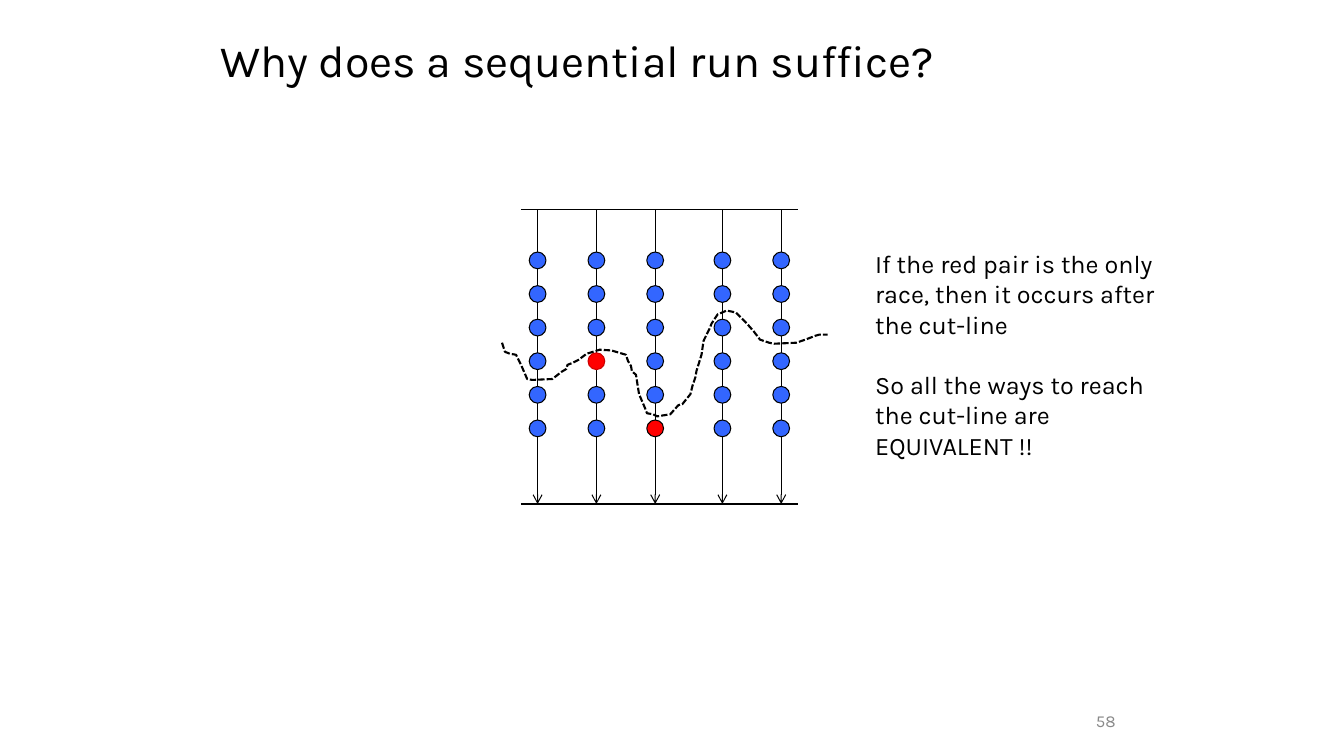
from dataclasses import dataclass

from lxml.etree import SubElement
from pptx import Presentation
from pptx.dml.color import RGBColor
from pptx.enum.dml import MSO_LINE
from pptx.enum.shapes import MSO_CONNECTOR, MSO_SHAPE
from pptx.enum.text import MSO_ANCHOR, MSO_AUTO_SIZE, PP_ALIGN
from pptx.oxml.ns import qn
from pptx.util import Pt

TITLE = "Why does a sequential run suffice?"
PAGE_NUMBER = "58"
REMARKS = [
    ["If the red pair is the only", "race, then it occurs after", "the cut-line"],
    ["So all the ways to reach", "the cut-line are", "EQUIVALENT !!"],
]
THREAD_XS = [384, 426, 468, 516, 558]
EVENTS_PER_THREAD = 6
RACE_OUTLINES = {(1, 3): "CC0000", (2, 5): "000000"}  # (thread, event)
CUT_LINE = [
    (358.6, 244.8), (360.7, 251.3), (364.3, 252.7), (368.6, 253.4), (372.2, 260.6),
    (376.6, 270.7), (380.2, 271.4), (394.6, 270.7), (401, 265.7), (404.6, 263.5),
    (405.4, 260.6), (409, 259.2), (413.3, 257), (419, 252.7), (428.4, 249.8),
    (436.7, 250.3), (447.1, 253.4), (448.6, 257.8), (450.7, 261.4), (451.4, 265),
    (454.3, 267.8), (456.5, 281.5), (460.8, 291.6), (462.2, 295.2), (466.6, 295.9),
    (469.4, 297.4), (478.8, 295.9), (484.6, 289.4), (487.4, 288.7), (493.2, 281.5),
    (494.6, 275.8), (496.8, 269.3), (497.5, 265), (501.1, 253.4), (502.6, 243.4),
    (506.9, 234.7), (508.3, 231.1), (512.6, 224.6), (519.1, 221.8), (525.6, 223.2),
    (533.5, 231.1), (538.6, 236.9), (542.9, 242.6), (549.4, 244.8), (553, 245.5),
    (568.8, 244.8), (575.3, 242.6), (582.5, 239.8), (585.4, 239), (591.1, 239),
]

START_Y, END_Y = 150, 360
RAIL_LEFT, RAIL_RIGHT = 372, 570
FIRST_EVENT_Y, EVENT_STEP, EVENT_SIZE = 180, 24, 12


@dataclass(frozen=True)
class Theme:
    font: str = "Karla"
    ink: str = "000000"
    muted: str = "898989"
    event: str = "3366FF"
    race: str = "FF0000"
    title_size: float = 32
    body_size: float = 18
    number_size: float = 12
    thin: float = 0.75
    thick: float = 1.5
    remark_gap: float = 21.6


THEME = Theme()


def apply_format(target, values):
    for name, value in values.items():
        setattr(target, name, value)


def style_font(paragraph, size, color):
    apply_format(paragraph.font, {"name": THEME.font, "size": Pt(size)})
    paragraph.font.color.rgb = RGBColor.from_string(color)


def style_line(line, width, color=THEME.ink):
    line.width = Pt(width)
    line.color.rgb = RGBColor.from_string(color)


def add_stroke(shapes, x1, y1, x2, y2, arrow=False):
    stroke = shapes.add_connector(MSO_CONNECTOR.STRAIGHT, Pt(x1), Pt(y1), Pt(x2), Pt(y2))
    style_line(stroke.line, THEME.thin)
    if arrow:
        SubElement(stroke.line._get_or_add_ln(), qn("a:tailEnd"), type="arrow")
    SubElement(stroke._element.spPr, qn("a:effectLst"))


def add_thread(slide, thread, x):
    """Group one vertical arrow with its column of event dots."""
    shapes = slide.shapes.add_group_shape().shapes
    add_stroke(shapes, x, START_Y, x, END_Y, arrow=True)
    for event in range(EVENTS_PER_THREAD):
        dot = shapes.add_shape(
            MSO_SHAPE.OVAL, Pt(x - EVENT_SIZE / 2), Pt(FIRST_EVENT_Y + event * EVENT_STEP),
            Pt(EVENT_SIZE), Pt(EVENT_SIZE))
        dot.shadow.inherit = False
        racing = (thread, event) in RACE_OUTLINES
        dot.fill.solid()
        dot.fill.fore_color.rgb = RGBColor.from_string(THEME.race if racing else THEME.event)
        style_line(dot.line, THEME.thin, RACE_OUTLINES.get((thread, event), THEME.ink))


def add_cut_line(slide):
    start, *rest = [(Pt(x), Pt(y)) for x, y in CUT_LINE]
    builder = slide.shapes.build_freeform(*start)
    builder.add_line_segments(rest, close=False)
    cut = builder.convert_to_shape()
    cut.shadow.inherit = False
    cut.fill.background()
    style_line(cut.line, THEME.thick)
    cut.line.dash_style = MSO_LINE.SQUARE_DOT


def add_title(slide):
    title = slide.shapes.title
    apply_format(title, {"left": Pt(150), "top": Pt(0), "width": Pt(684), "height": Pt(90)})
    apply_format(title.text_frame, {
        "text": TITLE, "vertical_anchor": MSO_ANCHOR.MIDDLE, "auto_size": MSO_AUTO_SIZE.NONE})
    heading = title.text_frame.paragraphs[0]
    apply_format(heading, {"alignment": PP_ALIGN.LEFT, "line_spacing": 0.9})
    style_font(heading, THEME.title_size, THEME.ink)


def add_remarks(slide):
    frame = slide.shapes.add_textbox(Pt(618), Pt(174), Pt(220), Pt(160)).text_frame
    frame.word_wrap = False
    frame.text = "\n".join(line for remark in REMARKS for line in remark)
    for paragraph in frame.paragraphs:
        style_font(paragraph, THEME.body_size, THEME.ink)
    frame.paragraphs[len(REMARKS[0])].space_before = Pt(THEME.remark_gap)


def add_page_number(slide):
    frame = slide.shapes.add_textbox(Pt(636), Pt(500.4), Pt(168), Pt(28.8)).text_frame
    apply_format(frame, {
        "text": PAGE_NUMBER, "word_wrap": True, "vertical_anchor": MSO_ANCHOR.MIDDLE})
    number = frame.paragraphs[0]
    number.alignment = PP_ALIGN.RIGHT
    style_font(number, THEME.number_size, THEME.muted)


def main():
    deck = Presentation()
    apply_format(deck, {"slide_width": Pt(960), "slide_height": Pt(540)})
    slide = deck.slides.add_slide(deck.slide_layouts.get_by_name("Title Only"))
    add_title(slide)
    add_page_number(slide)
    for y in (START_Y, END_Y):
        add_stroke(slide.shapes, RAIL_LEFT, y, RAIL_RIGHT, y)
    for thread, x in enumerate(THREAD_XS):
        add_thread(slide, thread, x)
    add_cut_line(slide)
    add_remarks(slide)
    deck.save("out.pptx")


if __name__ == "__main__":
    main()
